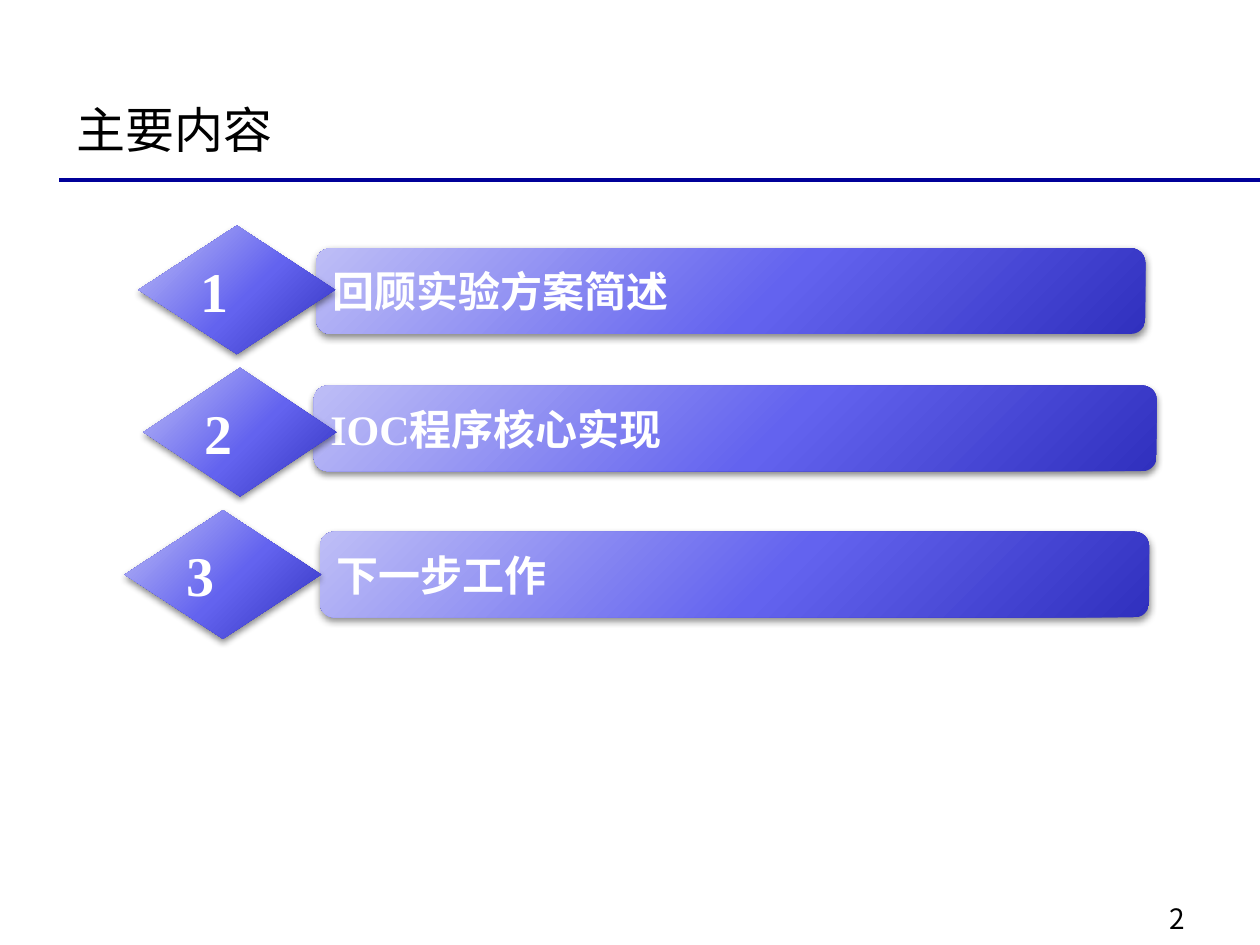
from lxml.etree import SubElement
from pptx import Presentation
from pptx.dml.color import RGBColor
from pptx.enum.shapes import MSO_CONNECTOR, MSO_SHAPE
from pptx.enum.text import MSO_ANCHOR, PP_ALIGN
from pptx.oxml import parse_xml
from pptx.oxml.ns import nsdecls, qn
from pptx.util import Inches, Pt

BLACK = RGBColor(0x00, 0x00, 0x00)
WHITE = RGBColor(0xFF, 0xFF, 0xFF)
NAVY = RGBColor(0x00, 0x00, 0x99)
STOPS = [(0, RGBColor(0xBE, 0xBE, 0xF6)),
         (55, RGBColor(0x63, 0x63, 0xEF)),
         (100, RGBColor(0x30, 0x30, 0xBE))]
SANS = "Noto Sans CJK SC"
SERIF = "Times New Roman"


def set_text(sp, text, size, font, color, bold=False, wrap=True):
    tf = sp.text_frame
    tf.text = text
    tf.word_wrap = wrap
    tf.vertical_anchor = MSO_ANCHOR.MIDDLE
    p = tf.paragraphs[0]
    p.alignment = PP_ALIGN.LEFT
    r = p.runs[0]
    r.font.size = Pt(size)
    r.font.name = font
    r.font.bold = bold
    r.font.color.rgb = color
    SubElement(r.font._element, qn("a:ea")).set("typeface", SANS)


def add_glossy(shapes, kind, left, top, width, height, text, size):
    sp = shapes.add_shape(kind, Inches(left), Inches(top), Inches(width), Inches(height))
    sp.line.fill.background()
    sp.fill.gradient()
    grad = sp._element.spPr.find(qn("a:gradFill"))
    stops = "".join(f'<a:gs pos="{pos * 1000}"><a:srgbClr val="{color}"/></a:gs>'
                    for pos, color in STOPS)
    grad.getparent().replace(grad, parse_xml(
        f'<a:gradFill {nsdecls("a")} rotWithShape="1"><a:gsLst>{stops}</a:gsLst>'
        '<a:path path="circle"><a:fillToRect l="-40000" t="-90000" r="140000" b="190000"/>'
        '</a:path></a:gradFill>'))
    sp.shadow.inherit = False
    sp._element.spPr.find(qn("a:effectLst")).append(parse_xml(
        f'<a:outerShdw {nsdecls("a")} blurRad="{Pt(4)}" dist="{Pt(2)}" dir="5400000" '
        'rotWithShape="0"><a:srgbClr val="000000"><a:alpha val="45000"/></a:srgbClr>'
        '</a:outerShdw>'))
    set_text(sp, text, size, SERIF, WHITE, bold=True, wrap=False)


prs = Presentation()
prs.slide_width = Inches(10)
prs.slide_height = Inches(7.5)
s = prs.slides.add_slide(prs.slide_layouts[5])

number = s.shapes.add_textbox(Inches(9.18), Inches(7.1), Inches(0.59), Inches(0.37))
set_text(number, "2", 16, SANS, BLACK)

rule = s.shapes.add_connector(MSO_CONNECTOR.STRAIGHT,
                              Inches(0.47), Inches(1.43), Inches(10), Inches(1.43))
rule.line.color.rgb = NAVY
rule.line.width = Pt(2.25)
SubElement(rule._element.spPr, qn("a:effectLst"))

title = s.shapes.title
title.left, title.top = Inches(0.51), Inches(0.68)
title.width, title.height = Inches(9), Inches(0.69)
set_text(title, "主要内容", 28, SANS, BLACK)

items = [
    ("回顾实验方案简述", (2.51, 1.97, 6.58), (1.1, 1.79, 1.56)),
    ("IOC程序核心实现", (2.49, 3.06, 6.69), (1.14, 2.92, 1.53)),
    ("下一步工作", (2.54, 4.22, 6.58), (0.99, 4.05, 1.56)),
]
for i, (text, bar, diamond) in enumerate(items, 1):
    group = s.shapes.add_group_shape()
    add_glossy(group.shapes, MSO_SHAPE.ROUNDED_RECTANGLE, *bar, 0.68, text, 24)
    add_glossy(group.shapes, MSO_SHAPE.DIAMOND, *diamond, 1.02, str(i), 32)

prs.save("out.pptx")
